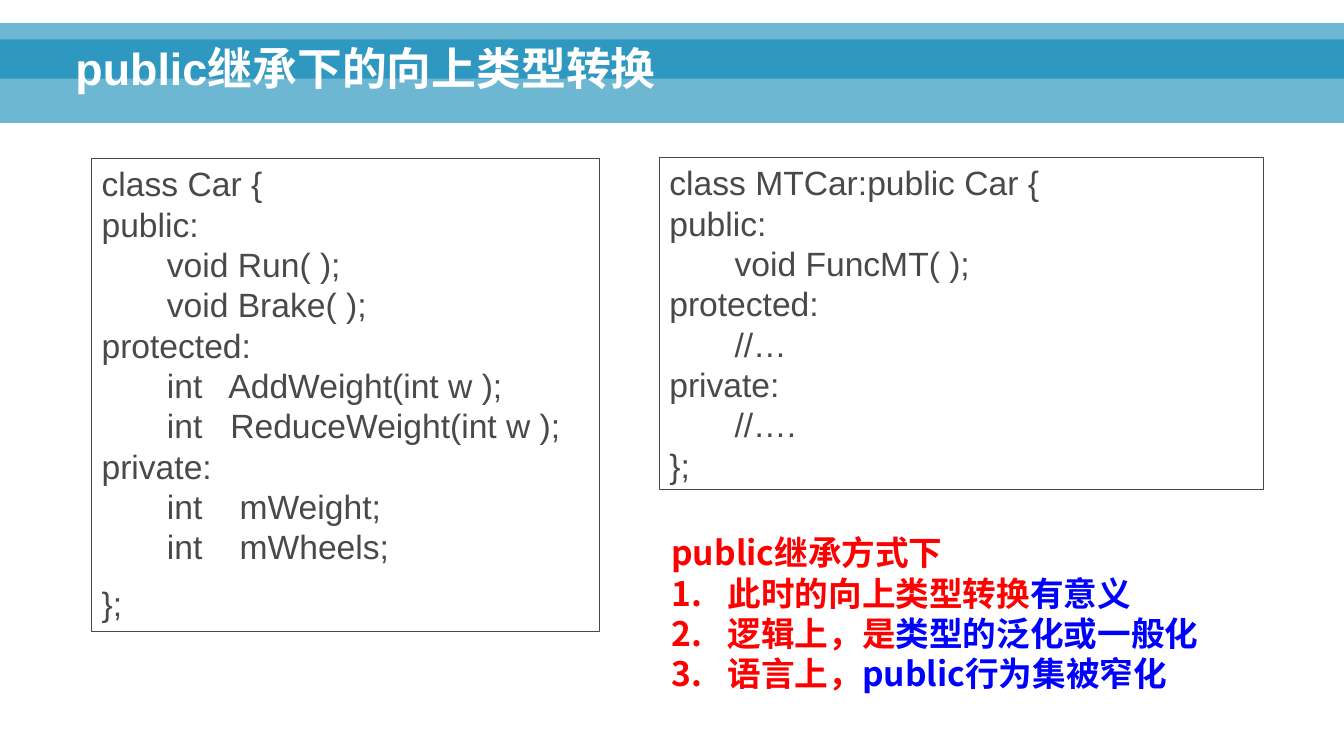
from dataclasses import dataclass

from lxml.etree import SubElement
from pptx import Presentation
from pptx.dml.color import RGBColor
from pptx.enum.shapes import MSO_SHAPE
from pptx.enum.text import MSO_ANCHOR, MSO_AUTO_SIZE, PP_ALIGN
from pptx.oxml.ns import qn
from pptx.shapes.autoshape import Shape
from pptx.slide import Slide
from pptx.text.text import TextFrame, _Paragraph as Paragraph
from pptx.util import Inches, Pt


@dataclass(frozen=True)
class Theme:
    band: RGBColor = RGBColor(0x00, 0x82, 0xB3)
    title: RGBColor = RGBColor(0xFF, 0xFF, 0xFF)
    code: RGBColor = RGBColor(0x47, 0x49, 0x4B)
    claim: RGBColor = RGBColor(0xFF, 0x00, 0x00)
    insight: RGBColor = RGBColor(0x00, 0x00, 0xFF)
    band_alpha: int = 57
    title_size: int = 32
    body_size: int = 24
    border: float = 0.75
    latin: str = "Arial"
    chinese: str = "Noto Sans CJK SC"


@dataclass(frozen=True)
class Area:
    left: float
    top: float
    width: float
    height: float

    def lengths(self) -> tuple[int, ...]:
        return tuple(Inches(v) for v in (self.left, self.top, self.width, self.height))


@dataclass(frozen=True)
class ClassListing:
    area: Area
    blocks: tuple[str, ...]


@dataclass(frozen=True)
class Point:
    claim: str
    insight: str


THEME = Theme()
SLIDE_WIDTH, SLIDE_HEIGHT = 13.33, 7.5
BANDS = (Area(0, 0.39, SLIDE_WIDTH, 0.83), Area(0, 0.23, SLIDE_WIDTH, 0.55))
TITLE_AREA = Area(0.65, 0.12, 11.98, 0.87)
SUMMARY_AREA = Area(6.56, 5.23, 6.44, 1.73)
POINT_INDENT = 0.56

CAR = """class Car {
public:
       void Run( );
       void Brake( );
protected:
       int   AddWeight(int w );
       int   ReduceWeight(int w );
private:
       int    mWeight;
       int    mWheels;"""

MT_CAR = """class MTCar:public Car {
public:
       void FuncMT( );
protected:
       //…
private:
       //….
};"""

LISTINGS = (
    ClassListing(Area(0.91, 1.57, 5.04, 4.7), (CAR, "};")),
    ClassListing(Area(6.54, 1.56, 5.99, 3.3), (MT_CAR,)),
)
POINTS = (
    Point("此时的向上类型转换", "有意义"),
    Point("逻辑上，是", "类型的泛化或一般化"),
    Point("语言上，", "public行为集被窄化"),
)


def add_run(paragraph: Paragraph, text: str, color: RGBColor, size: int,
            latin: str, bold: bool = False) -> None:
    """Append one styled run to a paragraph."""
    run = paragraph.add_run()
    run.text = text
    run.font.size, run.font.bold, run.font.name = Pt(size), bold, latin
    run.font.color.rgb = color
    SubElement(run.font._element, qn("a:ea"), typeface=THEME.chinese)


def add_rectangle(slide: Slide, area: Area) -> Shape:
    """Add a rectangle without shadow."""
    rectangle = slide.shapes.add_shape(MSO_SHAPE.RECTANGLE, *area.lengths())
    rectangle.shadow.inherit = False
    return rectangle


def add_text_area(slide: Slide, area: Area) -> TextFrame:
    """Add a wrapping text box and return its frame."""
    frame = slide.shapes.add_textbox(*area.lengths()).text_frame
    frame.word_wrap = True
    return frame


def add_band(slide: Slide, area: Area) -> None:
    """Add one translucent header band."""
    band = add_rectangle(slide, area)
    band.fill.solid()
    band.fill.fore_color.rgb = THEME.band
    band.line.fill.background()
    color = band.fill._xPr.find(".//" + qn("a:srgbClr"))
    SubElement(color, qn("a:alpha"), val=str(THEME.band_alpha * 1000))


def add_title(slide: Slide, text: str) -> None:
    """Add the slide title above the bands."""
    frame = add_text_area(slide, TITLE_AREA)
    frame.vertical_anchor = MSO_ANCHOR.BOTTOM
    heading = frame.paragraphs[0]
    heading.line_spacing = 0.9
    add_run(heading, text, THEME.title, THEME.title_size, THEME.latin, bold=True)


def add_listing(slide: Slide, listing: ClassListing) -> None:
    """Add a bordered class declaration."""
    box = add_rectangle(slide, listing.area)
    box.fill.background()
    box.line.color.rgb = THEME.code
    box.line.width = Pt(THEME.border)
    frame = box.text_frame
    frame.word_wrap = True
    frame.auto_size = MSO_AUTO_SIZE.SHAPE_TO_FIT_TEXT
    frame.vertical_anchor = MSO_ANCHOR.TOP
    for block_index, block in enumerate(listing.blocks):
        paragraph = frame.add_paragraph() if block_index else frame.paragraphs[0]
        paragraph.alignment = PP_ALIGN.LEFT
        if block_index:
            paragraph.space_before = Pt(THEME.body_size / 2)
        for line_index, line in enumerate(block.splitlines()):
            if line_index:
                paragraph.add_line_break()
            add_run(paragraph, line, THEME.code, THEME.body_size, THEME.latin)


def add_summary(slide: Slide, heading: str, points: tuple[Point, ...]) -> None:
    """Add the heading and its numbered points."""
    frame = add_text_area(slide, SUMMARY_AREA)
    frame.auto_size = MSO_AUTO_SIZE.SHAPE_TO_FIT_TEXT
    style = (THEME.body_size, THEME.chinese, True)
    add_run(frame.paragraphs[0], heading, THEME.claim, *style)
    for point in points:
        paragraph = frame.add_paragraph()
        properties = paragraph._p.get_or_add_pPr()
        properties.set("marL", str(Inches(POINT_INDENT)))
        properties.set("indent", str(-Inches(POINT_INDENT)))
        SubElement(properties, qn("a:buFont"), typeface="+mj-lt")
        SubElement(properties, qn("a:buAutoNum"), type="arabicPeriod")
        add_run(paragraph, point.claim, THEME.claim, *style)
        add_run(paragraph, point.insight, THEME.insight, *style)


def main() -> None:
    """Build and save the slide."""
    presentation = Presentation()
    presentation.slide_width = Inches(SLIDE_WIDTH)
    presentation.slide_height = Inches(SLIDE_HEIGHT)
    slide = presentation.slides.add_slide(presentation.slide_layouts[6])
    for band in BANDS:
        add_band(slide, band)
    add_title(slide, "public继承下的向上类型转换")
    add_summary(slide, "public继承方式下", POINTS)
    for listing in LISTINGS:
        add_listing(slide, listing)
    presentation.save("out.pptx")


if __name__ == "__main__":
    main()
